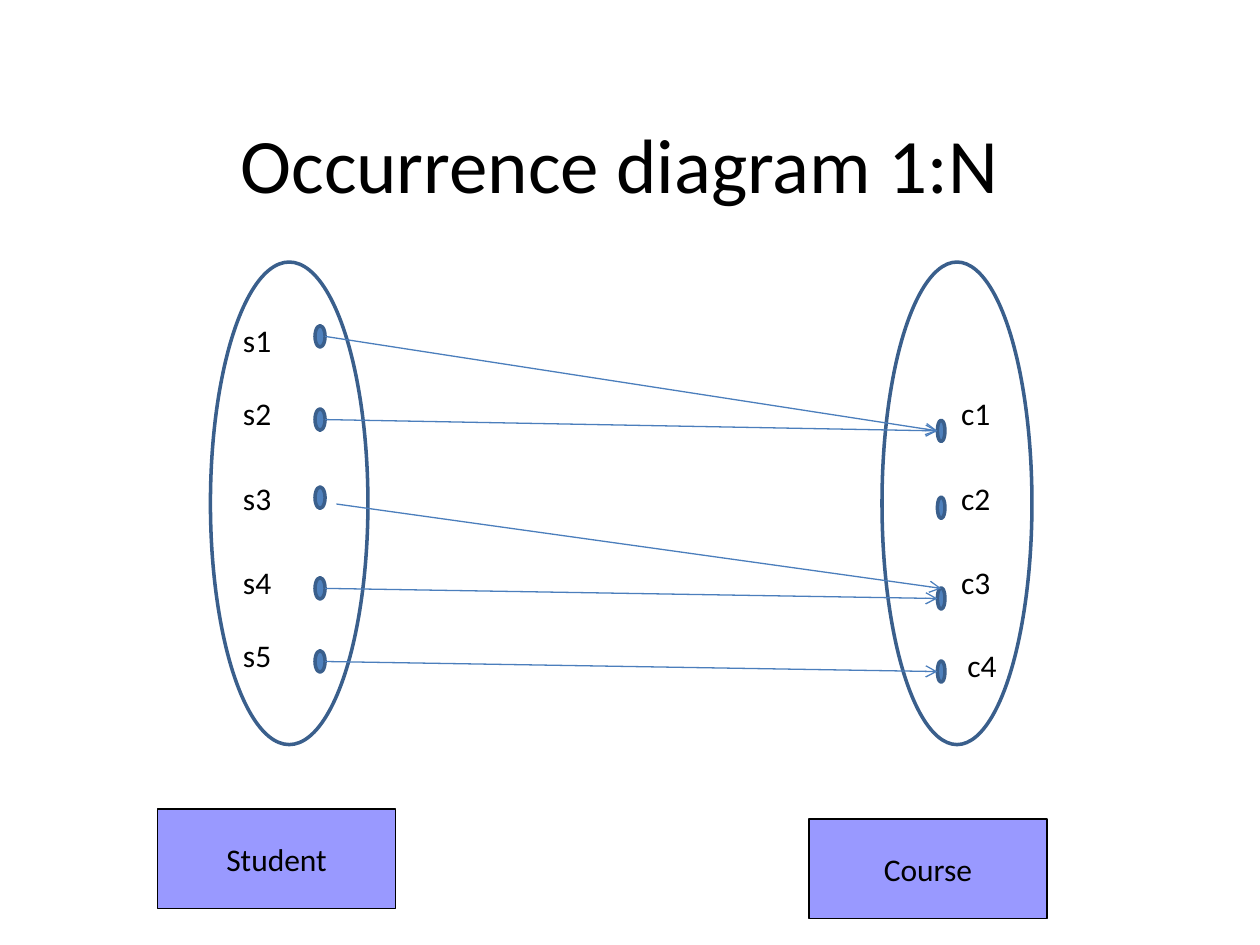
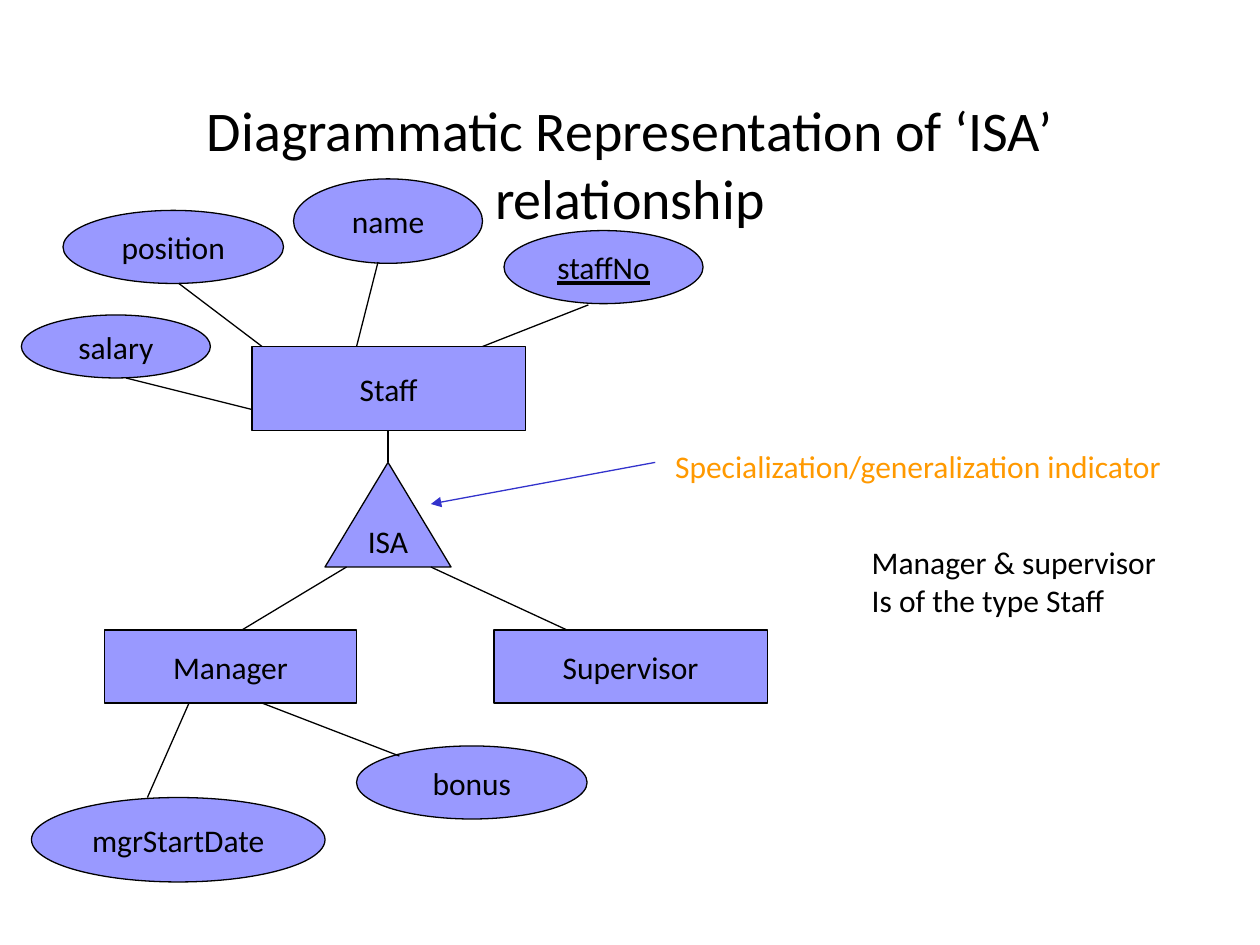
"""Build two slides: an occurrence diagram and an ISA hierarchy."""
from typing import NamedTuple, Optional

from lxml import etree
from pptx import Presentation
from pptx.dml.color import RGBColor
from pptx.enum import shapes, text
from pptx.oxml.ns import qn
from pptx.util import Inches, Pt

FONT = "Calibri"
BODY_SIZE = 18
BLACK = RGBColor(0x00, 0x00, 0x00)
LAVENDER = RGBColor(0x99, 0x99, 0xFF)
ORANGE = RGBColor(0xFF, 0x99, 0x00)
INDICATOR_BLUE = RGBColor(0x33, 0x33, 0xCC)
DOT_BLUE = RGBColor(0x4F, 0x81, 0xBD)
OUTLINE_BLUE = RGBColor(0x3A, 0x5F, 0x8C)
ARROW_BLUE = RGBColor(0x4B, 0x7E, 0xBC)

RECTANGLE = shapes.MSO_SHAPE.RECTANGLE
OVAL = shapes.MSO_SHAPE.OVAL
TRIANGLE = shapes.MSO_SHAPE.ISOSCELES_TRIANGLE
DOT_HEIGHT = 0.17


class Box(NamedTuple):
    left: float
    top: float
    width: float
    height: float


class Node(NamedTuple):
    label: str
    kind: shapes.MSO_SHAPE
    box: Box
    underline: bool = False


class Link(NamedTuple):
    x1: float
    y1: float
    x2: float
    y2: float
    color: RGBColor = BLACK
    arrow: Optional[str] = None


class Label(NamedTuple):
    words: str
    box: Box
    color: RGBColor = BLACK


class DotSet(NamedTuple):
    outline: Box
    dot_left: float
    dot_width: float
    dot_centers: list[float]
    labels: list[Label]


STUDENT_SET = DotSet(
    Box(1.67, 2.08, 1.25, 3.83), 2.5, 0.08, [2.67, 3.33, 3.95, 4.67, 5.25],
    [Label(f"s{number}", Box(1.83, top, 0.58, 0.4))
     for number, top in enumerate([2.5, 3.08, 3.75, 4.42, 5], 1)])
COURSE_SET = DotSet(
    Box(7, 2.08, 1.19, 3.83), 7.44, 0.06, [3.42, 4.03, 4.75, 5.33],
    [Label(f"c{number}", Box(left, top, 0.56, 0.4))
     for number, (left, top) in enumerate(
         [(7.53, 3.08), (7.53, 3.75), (7.53, 4.42), (7.58, 5.08)], 1)])
ENROLMENTS = [(1, 1), (2, 1), (4, 3), (5, 4)]
LOOSE_ENROLMENT = Link(2.67, 4, 7.47, 4.67, ARROW_BLUE, "arrow")
SET_NAMES = [
    Node("Student", RECTANGLE, Box(1.25, 6.42, 1.89, 0.79)),
    Node("Course", RECTANGLE, Box(6.42, 6.5, 1.89, 0.79)),
]

ISA_NODES = [
    Node("Staff", RECTANGLE, Box(2, 2.75, 2.17, 0.67)),
    Node("staffNo", OVAL, Box(4, 1.83, 1.58, 0.58), underline=True),
    Node("name", OVAL, Box(2.33, 1.42, 1.5, 0.67)),
    Node("position", OVAL, Box(0.5, 1.67, 1.75, 0.58)),
    Node("salary", OVAL, Box(0.17, 2.5, 1.5, 0.5)),
    Node("Manager", RECTANGLE, Box(0.83, 5, 2, 0.58)),
    Node("mgrStartDate", OVAL, Box(0.25, 6.33, 2.33, 0.67)),
    Node("bonus", OVAL, Box(2.83, 5.92, 1.83, 0.58)),
    Node("Supervisor", RECTANGLE, Box(3.92, 5, 2.17, 0.58)),
    Node("ISA", TRIANGLE, Box(2.58, 3.67, 1, 0.83)),
]
ISA_LINKS = [
    Link(5.2, 3.67, 3.42, 4, INDICATOR_BLUE, "triangle"),
    Link(1, 3, 2, 3.25),
    Link(1.42, 2.25, 2.08, 2.75),
    Link(3, 2.08, 2.83, 2.75),
    Link(4.67, 2.42, 3.83, 2.75),
    Link(1.5, 5.58, 1.17, 6.33),
    Link(2.08, 5.58, 3.17, 6),
    Link(3.08, 3.42, 3.08, 3.67),
    Link(2.75, 4.5, 1.92, 5),
    Link(3.42, 4.5, 4.5, 5),
]
ISA_LABELS = [
    Label("Specialization/generalization indicator", Box(5.26, 3.5, 4.74, 0.4), ORANGE),
    Label("Manager & supervisor\nIs of the type Staff", Box(6.82, 4.26, 3.12, 0.77)),
]


def inches(lengths: tuple) -> list:
    """Convert plain numbers to lengths."""
    return [Inches(length) for length in lengths]


def write(frame, words: str, size: float = BODY_SIZE, color: RGBColor = BLACK,
          align=text.PP_ALIGN.LEFT, underline: bool = False) -> None:
    """Fill a text frame and format its runs."""
    frame.text = words
    for paragraph in frame.paragraphs:
        paragraph.alignment = align
        for run in paragraph.runs:
            run.font.name = FONT
            run.font.size = Pt(size)
            run.font.color.rgb = color
            if underline:
                run.font.underline = True


def add_titled_slide(presentation, title: str, left: float, size: float):
    """Add a title-only slide with its title placed."""
    slide = presentation.slides.add_slide(presentation.slide_layouts[5])
    shape = slide.shapes.title
    shape.left, shape.top, shape.width, shape.height = inches((left, 0.67, 9, 1.25))
    shape.text_frame.vertical_anchor = text.MSO_ANCHOR.MIDDLE
    write(shape.text_frame, title, size, align=text.PP_ALIGN.CENTER)
    return slide


def add_outlined(slide, kind: shapes.MSO_SHAPE, box: Box, fill: Optional[RGBColor],
                 line: RGBColor, weight: float):
    """Draw a preset shape with an outline and an optional fill."""
    shape = slide.shapes.add_shape(kind, *inches(box))
    shape.shadow.inherit = False
    if fill is None:
        shape.fill.background()
    else:
        shape.fill.solid()
        shape.fill.fore_color.rgb = fill
    shape.line.color.rgb = line
    shape.line.width = Pt(weight)
    return shape


def add_node(slide, node: Node) -> None:
    """Draw a labelled lavender node."""
    frame = add_outlined(slide, node.kind, node.box, LAVENDER, BLACK, 0.75).text_frame
    frame.word_wrap = False
    frame.vertical_anchor = text.MSO_ANCHOR.MIDDLE
    write(frame, node.label, align=text.PP_ALIGN.CENTER, underline=node.underline)


def add_link(slide, link: Link) -> None:
    """Draw a straight line, with an arrowhead at its end if asked."""
    ends = inches((link.x1, link.y1, link.x2, link.y2))
    connector = slide.shapes.add_connector(shapes.MSO_CONNECTOR.STRAIGHT, *ends)
    connector.line.color.rgb = link.color
    connector.line.width = Pt(0.75)
    properties = connector.element.spPr
    if link.arrow:
        etree.SubElement(properties.find(qn("a:ln")), qn("a:tailEnd"), type=link.arrow)
    etree.SubElement(properties, qn("a:effectLst"))


def add_label(slide, label: Label) -> None:
    """Draw a plain text box."""
    frame = slide.shapes.add_textbox(*inches(label.box)).text_frame
    frame.word_wrap = True
    write(frame, label.words, color=label.color)


def add_dot_set(slide, dot_set: DotSet) -> None:
    """Draw a set outline with its dots and labels."""
    add_outlined(slide, OVAL, dot_set.outline, None, OUTLINE_BLUE, 2)
    for center in dot_set.dot_centers:
        dot = Box(dot_set.dot_left, center - DOT_HEIGHT / 2, dot_set.dot_width, DOT_HEIGHT)
        add_outlined(slide, OVAL, dot, DOT_BLUE, OUTLINE_BLUE, 2)
    for label in dot_set.labels:
        add_label(slide, label)


def build_occurrence_slide(presentation) -> None:
    """Map each student to a course."""
    slide = add_titled_slide(presentation, "Occurrence diagram 1:N", 0.42, 44)
    for node in SET_NAMES:
        add_node(slide, node)
    for dot_set in (COURSE_SET, STUDENT_SET):
        add_dot_set(slide, dot_set)
    start = STUDENT_SET.dot_left + STUDENT_SET.dot_width
    for student, course in ENROLMENTS:
        add_link(slide, Link(start, STUDENT_SET.dot_centers[student - 1],
                             COURSE_SET.dot_left, COURSE_SET.dot_centers[course - 1],
                             ARROW_BLUE, "arrow"))
    add_link(slide, LOOSE_ENROLMENT)


def build_isa_slide(presentation) -> None:
    """Show the staff hierarchy and its attributes."""
    slide = add_titled_slide(
        presentation, "Diagrammatic Representation of ‘ISA’ relationship", 0.5, 32)
    for node in ISA_NODES:
        add_node(slide, node)
    for link in ISA_LINKS:
        add_link(slide, link)
    for label in ISA_LABELS:
        add_label(slide, label)


def main() -> None:
    """Build and save the presentation."""
    presentation = Presentation()
    presentation.slide_width, presentation.slide_height = Inches(10), Inches(7.5)
    build_occurrence_slide(presentation)
    build_isa_slide(presentation)
    presentation.save("out.pptx")


if __name__ == "__main__":
    main()
